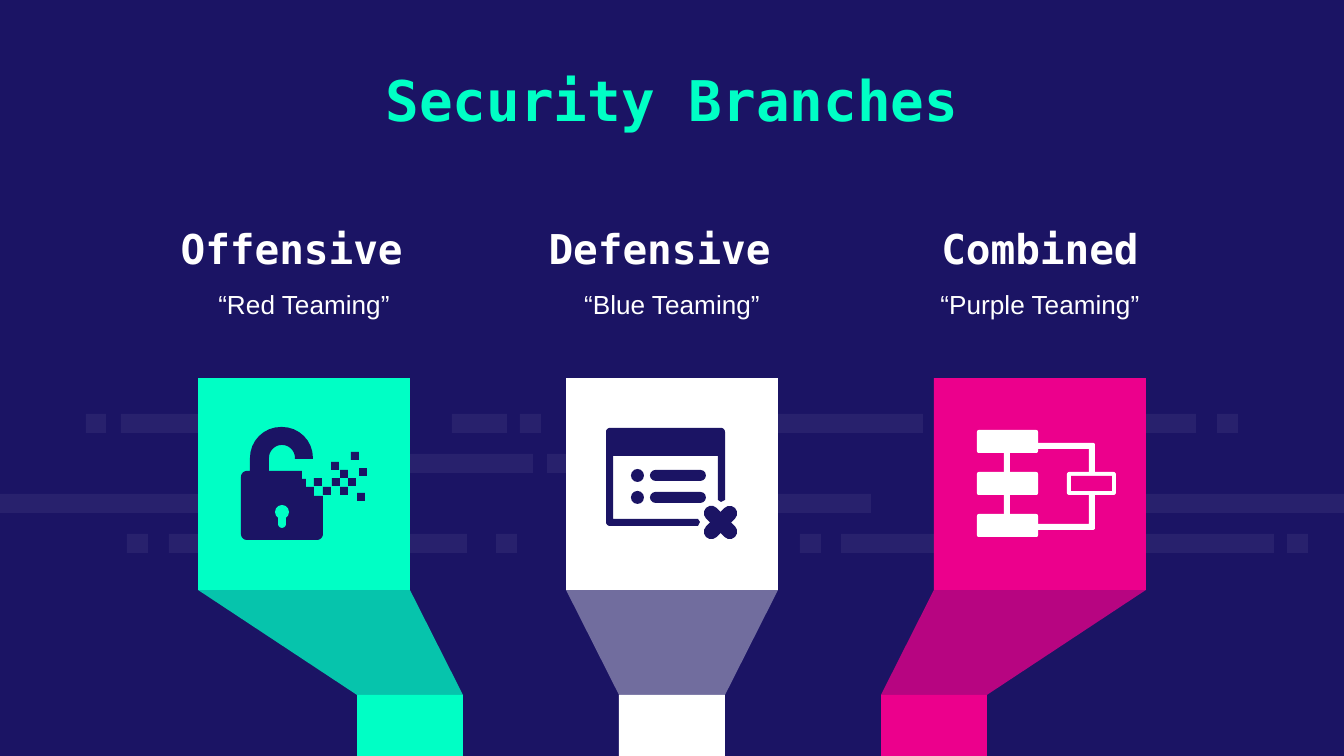
"""Build the Security Branches slide: three headed funnels with icons."""
from math import cos, dist, pi, sin

from lxml.etree import SubElement
from pptx import Presentation
from pptx.dml.color import RGBColor
from pptx.enum.shapes import MSO_SHAPE as Kind
from pptx.enum.text import MSO_ANCHOR as Anchor, PP_ALIGN as Align
from pptx.oxml.ns import qn
from pptx.util import Pt

NAVY = RGBColor(0x1B, 0x14, 0x64)
MINT = RGBColor(0x00, 0xFF, 0xC5)
PINK = RGBColor(0xEC, 0x00, 0x8C)
WHITE = RGBColor(0xFF, 0xFF, 0xFF)
MONO, SANS = "DejaVu Sans Mono", "Arial"
SCALE = 914400 / 134.4
WIDE, HIGH = 1344, 756

TITLE = "Security Branches"
BRANCHES = [
    ("Offensive ", "“Red Teaming”", MINT, 75),
    ("Defensive ", "“Blue Teaming”", WHITE, 38),
    ("Combined", "“Purple Teaming”", PINK, 75),
]
DASHES = [
    [(86, 20), (121, 196), (452, 55), (520, 21), (754, 169), (1027, 169), (1217, 21)],
    [(402, 131), (547, 54)],
    [(0, 199), (672, 199), (1145, 199)],
    [(127, 21), (169, 298), (496, 21), (800, 21), (841, 433), (1287, 21)],
]
LOCK = [
    (250, 471), (250, 427, 31), (313, 427, 31), (313, 459), (295, 459),
    (295, 445, 13), (269, 445, 13), (269, 471), (302, 471), (302, 479),
    (306, 479), (306, 487), (314, 487), (314, 496), (323, 496),
    (323, 540, 6), (241, 540, 6), (241, 471, 6),
]
BITS = [(323, 487), (340, 470), (332, 478), (331, 462), (314, 478),
        (340, 487), (357, 493), (348, 478), (359, 468), (351, 452)]
WINDOW = [
    (606, 428, 4), (725, 428, 4), (725, 500), (721, 502), (718, 500), (718, 456),
    (613, 456), (613, 519), (698, 519), (700, 522), (698, 526), (606, 526, 4),
]
LOOP = [(1038, 443), (1095, 443, 2), (1095, 530, 2), (1038, 530),
        (1038, 524), (1089, 524), (1089, 449), (1038, 449)]


def px(*vals):
    return [round(val * SCALE) for val in vals]


def paint(shape, color, alpha=100):
    shape.shadow.inherit = False
    shape.line.fill.background()
    shape.fill.solid()
    shape.fill.fore_color.rgb = color
    if alpha < 100:
        node = shape.element.spPr.find(".//" + qn("a:srgbClr"))
        SubElement(node, qn("a:alpha")).set("val", str(alpha * 1000))


def block(x, y, w, h, color, alpha=100, kind=Kind.RECTANGLE, bend=None, turn=0):
    shape = slide.shapes.add_shape(kind, *px(x, y, w, h))
    paint(shape, color, alpha)
    shape.rotation = turn
    if bend is not None:
        shape.adjustments[0] = bend


def pill(x, y, w, h, color, bend=0.5, turn=0):
    block(x, y, w, h, color, kind=Kind.ROUNDED_RECTANGLE, bend=bend, turn=turn)


def corner(prev, point, after):
    """Return the points of an arc that rounds a right-angled corner."""
    if len(point) == 2:
        return [point]
    x, y, rad = point
    ux, uy = [(a - b) / dist(prev[:2], (x, y)) for a, b in zip(prev, (x, y))]
    vx, vy = [(a - b) / dist(after[:2], (x, y)) for a, b in zip(after, (x, y))]
    turns = [step * pi / 16 for step in range(9)]
    return [(x + rad * (ux * (1 - sin(t)) + vx * (1 - cos(t))),
             y + rad * (uy * (1 - sin(t)) + vy * (1 - cos(t)))) for t in turns]


def trace(points, color, alpha=100):
    ring = zip(points[-1:] + points[:-1], points, points[1:] + points[:1])
    spots = [px(*spot) for trio in ring for spot in corner(*trio)]
    form = slide.shapes.build_freeform(*spots[0], scale=1.0)
    form.add_line_segments(spots[1:], close=True)
    paint(form.convert_to_shape(), color, alpha)


def write(box, text, face, size, color, bold, anchor, pads=(13, 13)):
    frame = box.text_frame
    frame.word_wrap = True
    frame.vertical_anchor = anchor
    frame.margin_left = frame.margin_right = px(13)[0]
    frame.margin_top, frame.margin_bottom = px(*pads)
    para = frame.paragraphs[0]
    para.text = text
    para.alignment = Align.CENTER
    font = para.font
    font.name, font.size, font.bold = face, Pt(size), bold
    font.color.rgb = color
    return para


def branch(spot, head, note, color, alpha):
    left, foot = 198 + 368 * spot, 357 + 262 * spot
    box = slide.shapes.add_textbox(*px(left - 46, 210, 304, 63))
    write(box, head, MONO, 22, WHITE, True, Anchor.BOTTOM, (13, 0))
    box = slide.shapes.add_textbox(*px(left - 46, 284, 304, 63))
    write(box, note, SANS, 14, WHITE, False, Anchor.TOP, (0, 13)).line_spacing = 1.15
    trace([(left, 590), (left + 212, 590), (foot + 106, 695), (foot, 695)], color, alpha)
    block(foot, 695, 106, HIGH - 695, color)
    block(left, 378, 212, 212, color)


def lock():
    trace(LOCK, NAVY)
    block(275, 505, 14, 14, MINT, kind=Kind.OVAL)
    pill(278, 510, 8, 18, MINT)
    for x, y in BITS:
        block(x, y, 8, 8, NAVY)


def window():
    trace(WINDOW, NAVY)
    for y in (469, 491):
        block(631, y, 13, 13, NAVY, kind=Kind.OVAL)
        pill(650, y + 1, 56, 11, NAVY)
    for turn in (45, 135):
        pill(700, 515, 41, 15, NAVY, turn=turn)


def chart():
    trace(LOOP, WHITE)
    block(1004, 442, 6, 84, WHITE)
    for y in (430, 472, 514):
        pill(977, y, 61, 23, WHITE, 0.08)
    pill(1067, 472, 49, 23, WHITE, 0.1)
    block(1071, 476, 41, 15, PINK)


deck = Presentation()
deck.slide_width, deck.slide_height = px(WIDE, HIGH)
slide = deck.slides.add_slide(deck.slide_layouts[5])
slide.background.fill.solid()
slide.background.fill.fore_color.rgb = NAVY
for row, dashes in enumerate(DASHES):
    for x, w in dashes:
        block(x, 414 + 40 * row, w, 19, WHITE, 6)
title = slide.shapes.title
title.left, title.top, title.width, title.height = px(188, 50, 968, 98)
write(title, TITLE, MONO, 30, MINT, True, Anchor.MIDDLE)
for spot, item in enumerate(BRANCHES):
    branch(spot, *item)
lock()
window()
chart()
deck.save("out.pptx")
